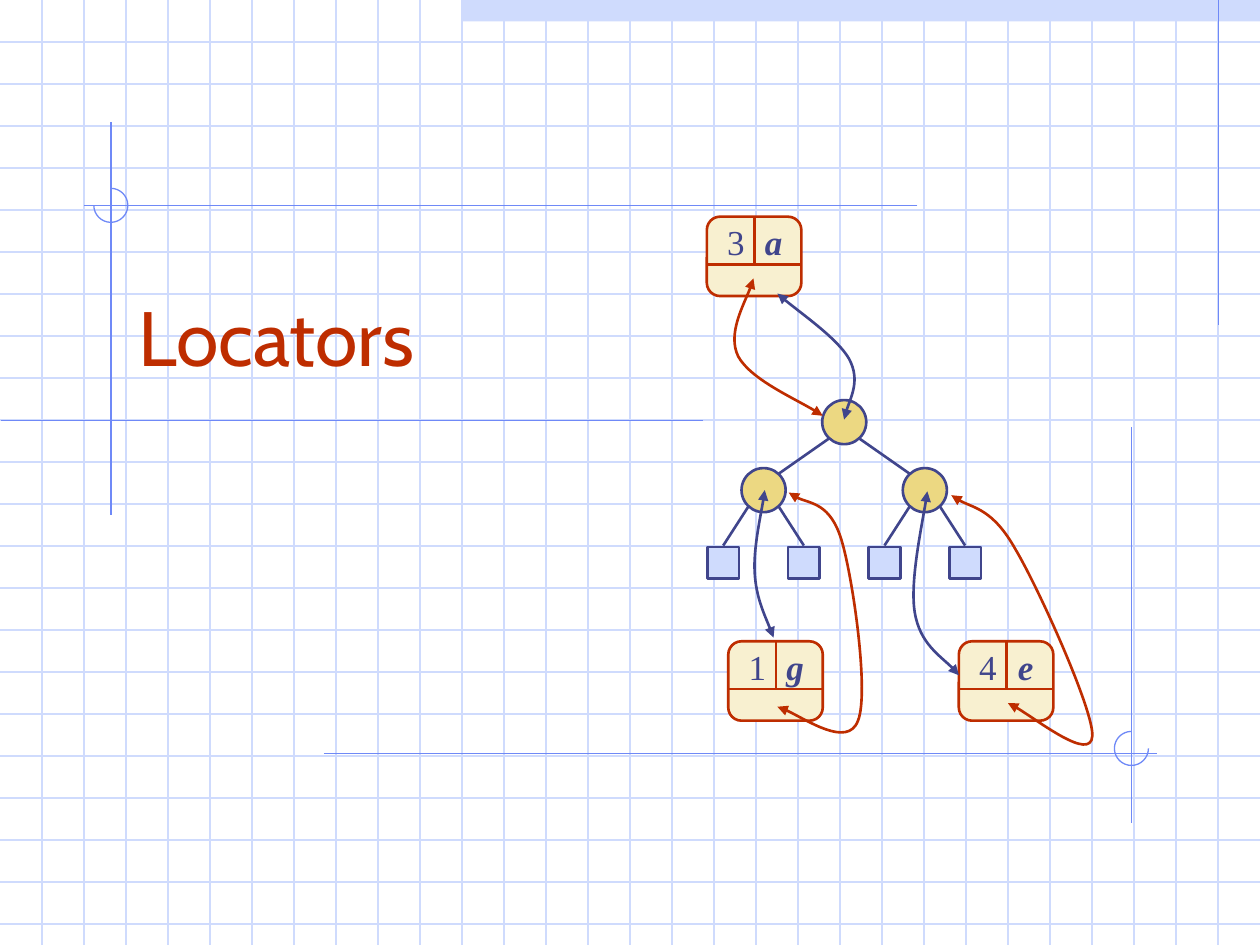
import dataclasses

import pptx
import pptx.dml.color
import pptx.enum.shapes
import pptx.enum.text
import pptx.oxml.ns
import pptx.oxml.xmlchemy
import pptx.util

Inches = pptx.util.Inches
Kind = pptx.enum.shapes.MSO_SHAPE
Align = pptx.enum.text.PP_ALIGN
Anchor = pptx.enum.text.MSO_ANCHOR


@dataclasses.dataclass(frozen=True)
class Theme:
    pale: str = "CFDBFD"
    guide: str = "6F89F7"
    red: str = "BE2D00"
    ink: str = "40458C"
    gold: str = "ECD882"
    cream: str = "F8F0D0"
    sans: str = "Cabin"
    serif: str = "Times New Roman"
    title: float = 44
    label: float = 20
    thin: float = 0.75
    thick: float = 1.5


def color(code):
    return pptx.dml.color.RGBColor.from_string(code)


def assign(thing, values):
    for name, value in values.items():
        setattr(thing, name, value)


def make(tag):
    """Make an empty drawing element."""
    return pptx.oxml.xmlchemy.OxmlElement(tag)


class Canvas:
    def __init__(self, slide, theme):
        self.slide, self.theme = slide, theme
        self.shapes = slide.shapes

    def stroke(self, shape, code, width):
        shape.line.color.rgb = color(code)
        shape.line.width = pptx.util.Pt(width)

    def line(self, x1, y1, x2, y2, code, width):
        ends = [Inches(v) for v in (x1, y1, x2, y2)]
        line = self.shapes.add_connector(
            pptx.enum.shapes.MSO_CONNECTOR.STRAIGHT, *ends)
        self.stroke(line, code, width)
        line.element.spPr.append(make("a:effectLst"))

    def shape(self, kind, x, y, w, h, fill, edge=None):
        shape = self.shapes.add_shape(kind, *[Inches(v) for v in (x, y, w, h)])
        shape.shadow.inherit = False
        shape.fill.solid()
        shape.fill.fore_color.rgb = color(fill)
        if edge:
            self.stroke(shape, edge, self.theme.thick)
        else:
            shape.line.fill.background()

    def curve(self, points, code, width, arrows=False):
        """Draw cubic curves: a start, then two controls and an end for each."""
        start, *rest = [(Inches(x), Inches(y)) for x, y in points]
        draft = self.shapes.build_freeform(*start)
        draft.add_line_segments(rest, close=False)
        shape = draft.convert_to_shape()
        shape.shadow.inherit = False
        shape.fill.background()
        self.stroke(shape, code, width)

        steps = list(shape.element.iter(pptx.oxml.ns.qn("a:lnTo")))
        for i in range(0, len(steps), 3):
            bend = make("a:cubicBezTo")
            steps[i].addprevious(bend)
            for step in steps[i:i + 3]:
                bend.append(step[0])
                step.getparent().remove(step)
        if arrows:
            edge = shape.element.spPr.find(pptx.oxml.ns.qn("a:ln"))
            for tag in ("a:headEnd", "a:tailEnd"):
                tip = make(tag)
                tip.set("type", "triangle")
                edge.append(tip)

    def text(self, words, x, y, w, h, code, font, frame, align=Align.LEFT):
        box = self.shapes.add_textbox(*[Inches(v) for v in (x, y, w, h)])
        assign(box.text_frame, frame)
        part = box.text_frame.paragraphs[0]
        part.alignment = align
        run = part.add_run()
        run.text = words
        assign(run.font, font)
        run.font.color.rgb = color(code)

    def corner(self, x, y, side):
        """Draw three quarters of a circle, open at the top on one side."""
        r = 0.135
        k = 0.55 * r
        path = [(-r, 0), (-r, k), (-k, r), (0, r), (k, r), (r, k), (r, 0),
                (r, -k), (k, -r), (0, -r)]
        self.curve([(x + side * dx, y + dy) for dx, dy in path],
                   self.theme.guide, self.theme.thin)

    def entry(self, x, y, key, value):
        """Draw a locator card with its key and its element."""
        t = self.theme
        self.shape(Kind.ROUNDED_RECTANGLE, x, y, 0.75, 0.63, t.cream, t.red)
        self.line(x, y + 0.38, x + 0.75, y + 0.38, t.red, t.thick)
        self.line(x + 0.38, y, x + 0.38, y + 0.38, t.red, t.thick)
        for words, gap, strong in ((key, 0.06, False), (value, 0.36, True)):
            font = dict(name=t.serif, size=pptx.util.Pt(t.label),
                        bold=strong, italic=strong)
            self.text(words, x + gap, y - 0.02, 0.34, 0.44, t.ink, font,
                      dict(word_wrap=False), Align.CENTER)

    def node(self, x, y):
        self.shape(Kind.OVAL, x - 0.175, y - 0.175, 0.35, 0.35,
                   self.theme.gold, self.theme.ink)


def backdrop(art):
    t = art.theme
    art.shape(Kind.RECTANGLE, 3.67, 0, 6.33, 0.17, t.pale)
    for i in range(1, 23):
        art.line(0, i / 3, 10, i / 3, t.pale, t.thin)
    for i in range(1, 30):
        art.line(i / 3, 0, i / 3, 7.5, t.pale, t.thin)
    for ends in ((9.67, 0, 9.67, 2.58), (0.88, 0.97, 0.88, 4.09),
                 (5.58, 3.34, 0.01, 3.34), (7.28, 1.63, 0.67, 1.63),
                 (2.57, 5.98, 9.18, 5.98), (8.98, 3.39, 8.98, 6.53)):
        art.line(*ends, t.guide, t.thin)
    art.corner(0.88, 1.63, 1)
    art.corner(8.98, 5.94, -1)


def tree(art):
    t = art.theme
    root, top, low = 6.7, 3.35, 3.89
    art.node(root, top)
    for side in (-1, 1):
        mid = root + side * 0.64
        art.node(mid, low)
        art.line(mid - side * 0.12, 3.76, root + side * 0.12, 3.48,
                 t.ink, t.thick)
        for turn in (-1, 1):
            leaf = mid + turn * 0.32
            art.shape(Kind.RECTANGLE, leaf - 0.125, 4.34, 0.25, 0.25,
                      t.pale, t.ink)
            art.line(leaf, 4.33, mid + turn * 0.12, 4.02, t.ink, t.thick)


def links(art):
    t = art.theme
    paths = {
        t.red: (
            [(5.98, 2.21), (5.96, 2.31), (5.77, 2.65), (5.86, 2.83),
             (5.96, 3.01), (6.39, 3.2), (6.53, 3.3)],
            [(6.17, 5.61), (6.27, 5.63), (6.73, 5.94), (6.81, 5.72),
             (6.9, 5.5), (6.77, 4.59), (6.68, 4.29),
             (6.59, 3.99), (6.35, 3.99), (6.26, 3.91)],
            [(8, 5.58), (8.11, 5.62), (8.66, 6.05), (8.67, 5.84),
             (8.68, 5.64), (8.25, 4.68), (8.06, 4.36),
             (7.88, 4.04), (7.66, 4.02), (7.55, 3.93)]),
        t.ink: (
            [(6.7, 3.33), (6.71, 3.25), (6.83, 3.02), (6.74, 2.85),
             (6.65, 2.69), (6.29, 2.44), (6.17, 2.33)],
            [(7.36, 3.9), (7.34, 4.06), (7.22, 4.62), (7.26, 4.86),
             (7.3, 5.11), (7.54, 5.26), (7.61, 5.36)],
            [(6.07, 3.89), (6.06, 3.99), (5.98, 4.35), (5.99, 4.54),
             (6, 4.74), (6.1, 4.95), (6.14, 5.06)]),
    }
    for code, curves in paths.items():
        for points in curves:
            art.curve(points, code, t.thick, arrows=True)


def main():
    deck = pptx.Presentation()
    assign(deck, dict(slide_width=Inches(10), slide_height=Inches(7.5)))
    t = Theme()
    art = Canvas(deck.slides.add_slide(deck.slide_layouts[6]), t)
    backdrop(art)
    art.text("Locators", 1, 1.83, 8.5, 1.25, t.red,
             dict(name=t.sans, size=pptx.util.Pt(t.title)),
             dict(word_wrap=True, vertical_anchor=Anchor.BOTTOM))
    tree(art)
    for card in ((5.61, 1.72, "3", "a"), (5.78, 5.09, "1", "g"),
                 (7.61, 5.09, "4", "e")):
        art.entry(*card)
    links(art)
    deck.save("out.pptx")


if __name__ == "__main__":
    main()
